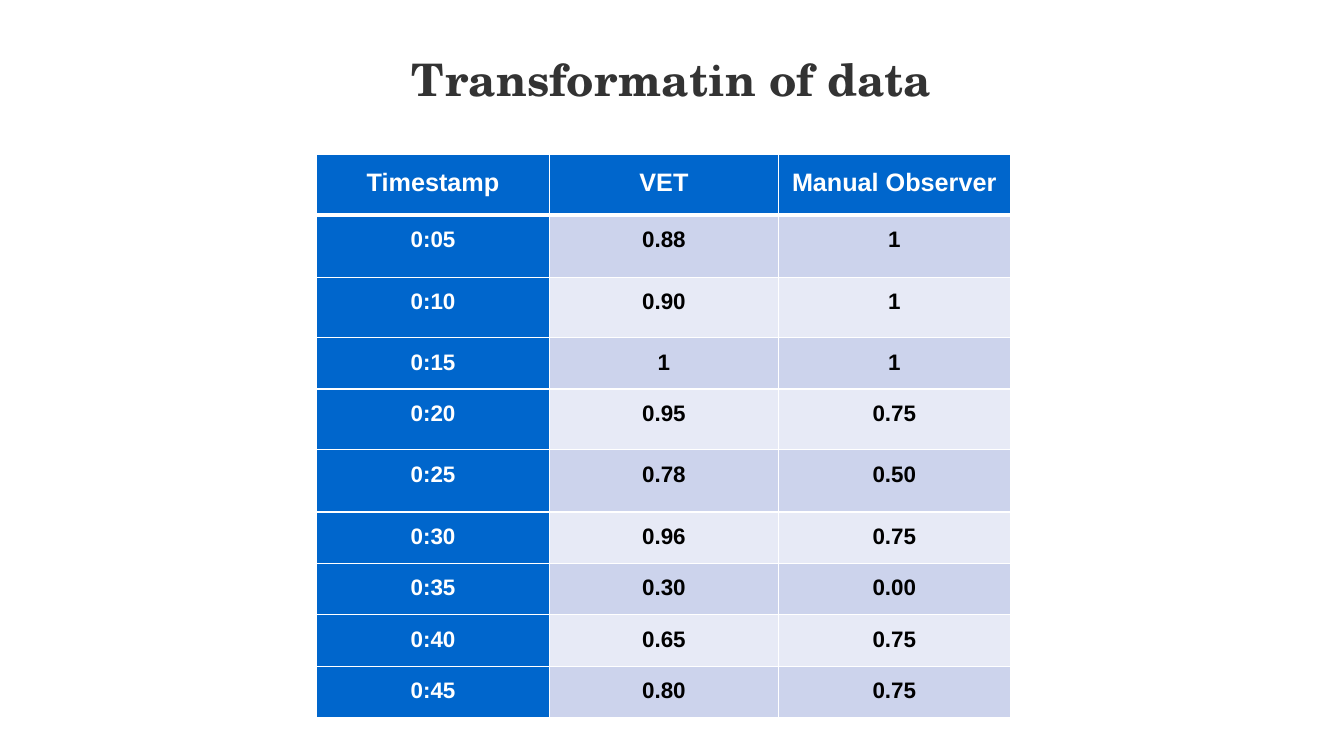
from dataclasses import dataclass
from typing import Any

from lxml.etree import SubElement
from pptx import Presentation
from pptx.dml.color import RGBColor
from pptx.enum.text import MSO_AUTO_SIZE, PP_ALIGN
from pptx.oxml.ns import qn
from pptx.util import Emu, Pt

EMU_PER_PX = 9144  # 100 px to the inch


@dataclass(frozen=True)
class Theme:
    title_font: str = "TeX Gyre Schola"
    table_font: str = "Arial"
    title_size: int = 32
    header_size: int = 18
    body_size: int = 16
    title: str = "333333"
    accent: str = "0066CC"
    band_dark: str = "CCD3EC"
    band_light: str = "E7EAF6"
    white: str = "FFFFFF"
    black: str = "000000"
    thin_rule: int = 1
    header_rule: int = 3


@dataclass(frozen=True)
class Reading:
    timestamp: str
    vet: str
    observer: str
    height: int


THEME = Theme()
READINGS = [
    Reading("Timestamp", "VET", "Manual Observer", 60),
    Reading("0:05", "0.88", "1", 62),
    Reading("0:10", "0.90", "1", 60),
    Reading("0:15", "1", "1", 51),
    Reading("0:20", "0.95", "0.75", 60),
    Reading("0:25", "0.78", "0.50", 62),
    Reading("0:30", "0.96", "0.75", 51),
    Reading("0:35", "0.30", "0.00", 51),
    Reading("0:40", "0.65", "0.75", 51),
    Reading("0:45", "0.80", "0.75", 51),
]
COLUMN_WIDTHS = [231, 227, 230]


def px(n: int) -> Emu:
    return Emu(n * EMU_PER_PX)


def set_attrs(target: Any, **values: Any) -> None:
    for name, value in values.items():
        setattr(target, name, value)


def write(tf: Any, text: str, font: str, size: int, color: str) -> Any:
    """Write one bold centred line and return its paragraph."""
    p = tf.paragraphs[0]
    set_attrs(p, alignment=PP_ALIGN.CENTER, line_spacing=1.5)
    r = p.add_run()
    r.text = text
    set_attrs(r.font, name=font, size=Pt(size), bold=True)
    r.font.color.rgb = RGBColor.from_string(color)
    return p


def add_title(slide: Any, text: str) -> None:
    tf = slide.shapes.add_textbox(px(314), px(20), px(675), px(81)).text_frame
    set_attrs(tf, word_wrap=True, auto_size=MSO_AUTO_SIZE.SHAPE_TO_FIT_TEXT)
    p = write(tf, text, THEME.title_font, THEME.title_size, THEME.title)
    p.space_after = Pt(8)
    pPr = p._p.get_or_add_pPr()
    pPr.set("marL", str(px(30)))
    pPr.set("indent", "0")
    p.runs[0].font._element.set("spc", "10")


def add_borders(cell: Any, row: int) -> None:
    """Rule all four sides in white, thicker where header meets body."""
    tcPr = cell._tc.get_or_add_tcPr()
    thick_side = {0: "lnB", 1: "lnT"}.get(row)
    for side in ("lnL", "lnR", "lnT", "lnB"):
        width = THEME.header_rule if side == thick_side else THEME.thin_rule
        ln = SubElement(tcPr, qn(f"a:{side}"), w=str(Pt(width)))
        fill = SubElement(ln, qn("a:solidFill"))
        SubElement(fill, qn("a:srgbClr"), val=THEME.white)


def fill_color(row: int, col: int) -> str:
    if row == 0 or col == 0:
        return THEME.accent
    return THEME.band_dark if row % 2 else THEME.band_light


def format_cell(cell: Any, row: int, col: int, text: str) -> None:
    set_attrs(cell, margin_left=px(7), margin_right=px(7), margin_top=0, margin_bottom=0)
    add_borders(cell, row)
    color = fill_color(row, col)
    cell.fill.solid()
    cell.fill.fore_color.rgb = RGBColor.from_string(color)
    size = THEME.body_size if row else THEME.header_size
    text_color = THEME.white if color == THEME.accent else THEME.black
    write(cell.text_frame, text, THEME.table_font, size, text_color)


def add_readings_table(slide: Any) -> None:
    width, height = sum(COLUMN_WIDTHS), sum(reading.height for reading in READINGS)
    table = slide.shapes.add_table(
        len(READINGS), len(COLUMN_WIDTHS), px(314), px(153), px(width), px(height)
    ).table
    set_attrs(table, first_row=True, first_col=True, horz_banding=True)
    for column, column_width in zip(table.columns, COLUMN_WIDTHS):
        column.width = px(column_width)
    for row, reading in enumerate(READINGS):
        table.rows[row].height = px(reading.height)
        for col, text in enumerate((reading.timestamp, reading.vet, reading.observer)):
            format_cell(table.cell(row, col), row, col, text)


def main() -> None:
    prs = Presentation()
    set_attrs(prs, slide_width=px(1333), slide_height=px(750))
    slide = prs.slides.add_slide(prs.slide_layouts[6])
    add_title(slide, "Transformatin of data")
    add_readings_table(slide)
    prs.save("out.pptx")


if __name__ == "__main__":
    main()
